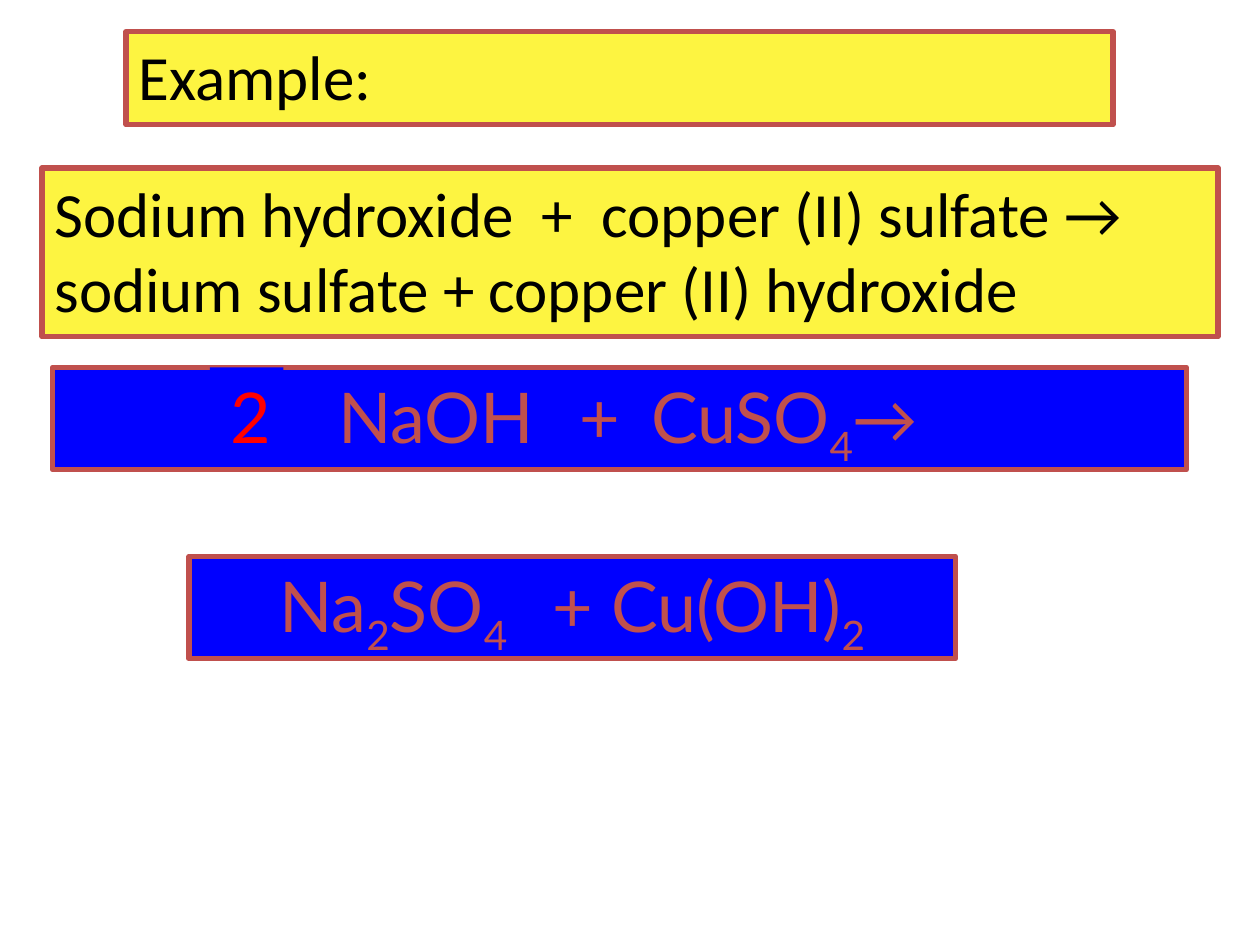
from pptx import Presentation
from pptx.dml.color import RGBColor
from pptx.enum.shapes import MSO_SHAPE as Shape
from pptx.enum.text import MSO_ANCHOR as Anchor, MSO_AUTO_SIZE as AutoSize, PP_ALIGN as Align
from pptx.util import Pt

YELLOW = RGBColor(0xFD, 0xF4, 0x41)
BLUE = RGBColor(0x00, 0x00, 0xFF)
BRICK = RGBColor(0xC0, 0x50, 0x4D)
BLACK = RGBColor(0x00, 0x00, 0x00)
RED = RGBColor(0xFF, 0x00, 0x00)

# Runs: text, then optional settings (sub = subscript, gap = extra points, font)
SUB = {"sub": True}
REACTANTS = [("NaOH",), (" ", {"gap": 15.5}), ("+",), (" ", {"gap": 7.7}),
             ("CuSO",), ("4", SUB), ("→", {"font": "Calibri"})]
PRODUCTS = [("Na",), ("2", SUB), ("SO",), ("4", SUB),
            (" ", {"sub": True, "gap": 20}), ("+ Cu(OH)",), ("2", SUB)]
WORDS = ("Sodium hydroxide", "copper (II) sulfate → sodium sulfate + copper (II) hydroxide")
WORD_EQUATION = [(WORDS[0],), (" ", {"gap": 8}), ("+",), (" ", {"gap": 8}), (WORDS[1],)]

# Text styles: fill, line, font, size, text colour, alignment
WORD_STYLE = (YELLOW, BRICK, "Calibri", 36, BLACK, Align.LEFT)
FORMULA_STYLE = (BLUE, BRICK, "Lato", 40, BRICK, Align.CENTER)
COEFFICIENT_STYLE = (BLUE, None, "Lato", 40, RED, Align.RIGHT)

# Boxes from back to front: left, top, width, height, left indent, style, runs
BOXES = [
    (30, 210, 648, 58.5, 9, FORMULA_STYLE, REACTANTS),
    (72, 18, 564, 53.3, 0, WORD_STYLE, [("Example:",)]),
    (24, 96, 672, 96.5, 0, WORD_STYLE, WORD_EQUATION),
    (108, 318, 438, 58.5, 0, FORMULA_STYLE, PRODUCTS),
    (120, 210, 42, 55.5, 0, COEFFICIENT_STYLE, [("2",)]),
]


def add_run(para, text, sub=False, gap=0, font=None):
    span = para.add_run()
    span.text = text
    if font:
        span.font.name = font
    properties = span.font._element
    if sub:
        properties.set("baseline", "-25000")
    if gap:
        properties.set("spc", str(round(gap * 100)))


def add_box(page, left, top, width, height, indent, style, runs):
    fill, line, font, size, color, align = style
    box = page.shapes.add_shape(Shape.RECTANGLE, Pt(left), Pt(top), Pt(width), Pt(height))
    box.shadow.inherit = False
    box.fill.solid()
    box.fill.fore_color.rgb = fill
    if line is None:
        box.line.fill.background()
    else:
        box.line.color.rgb = line
        box.line.width = Pt(3)

    frame = box.text_frame
    frame.word_wrap = True
    frame.auto_size = AutoSize.SHAPE_TO_FIT_TEXT
    frame.vertical_anchor = Anchor.TOP
    frame.margin_left = Pt(7.2 + indent)
    para = frame.paragraphs[0]
    para.alignment = align
    para.font.name = font
    para.font.size = Pt(size)
    para.font.color.rgb = color
    for text, *settings in runs:
        add_run(para, text, **(settings[0] if settings else {}))


def main():
    deck = Presentation()
    deck.slide_width, deck.slide_height = Pt(720), Pt(540)
    page = deck.slides.add_slide(deck.slide_layouts[6])
    for box in BOXES:
        add_box(page, *box)
    deck.save("out.pptx")


if __name__ == "__main__":
    main()
